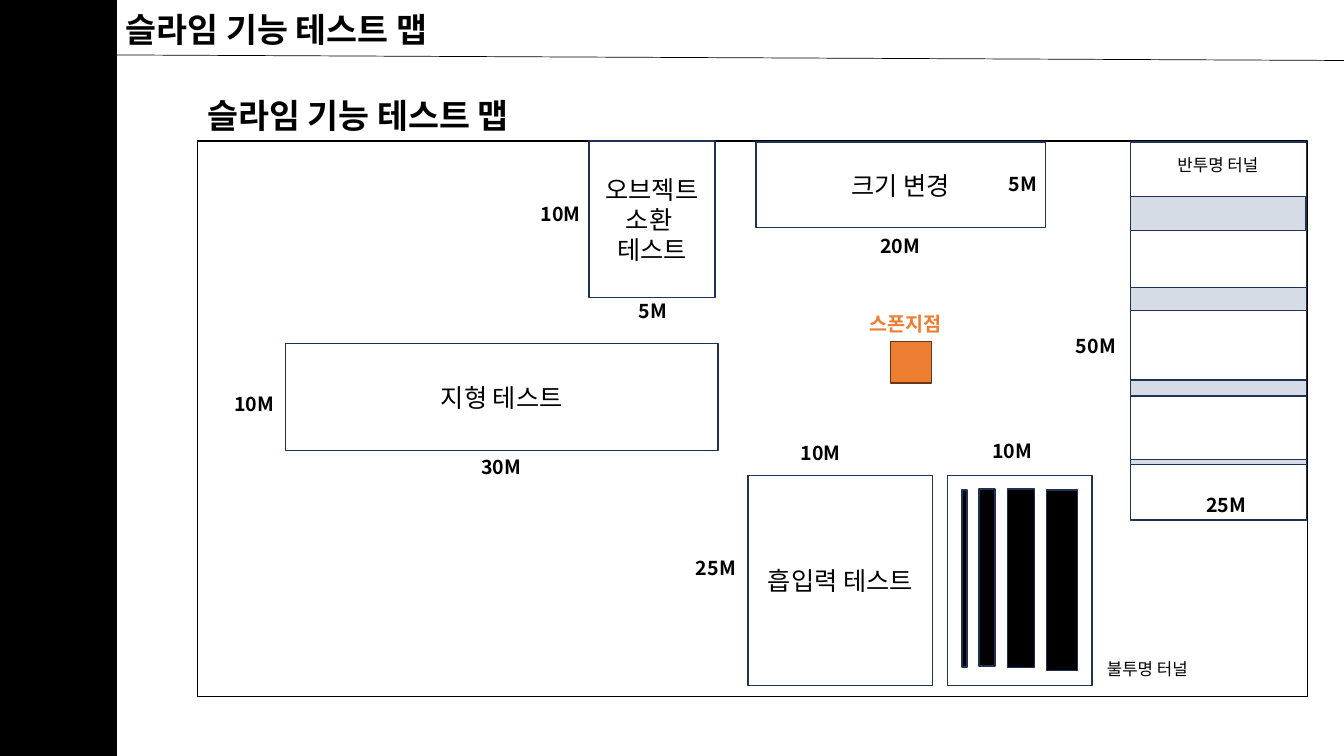
from lxml.etree import SubElement
from pptx import Presentation
from pptx.dml.color import RGBColor
from pptx.enum.shapes import MSO_CONNECTOR, MSO_SHAPE
from pptx.enum.text import MSO_ANCHOR, MSO_AUTO_SIZE, PP_ALIGN
from pptx.oxml.ns import qn
from pptx.util import Pt

PX = 9144  # 100 px to the inch
FONT = "Noto Sans CJK KR"
BLACK, NAVY, ORANGE, GREY = "000000", "1E3256", "ED7D31", "D6DCE5"
TITLE = {"size": Pt(24), "bold": True}
ROOM = {"size": Pt(18)}
SIZE = {"size": Pt(14), "bold": True}
NOTE = {"size": Pt(12)}

deck = Presentation()
deck.slide_width, deck.slide_height = 1333 * PX, 750 * PX
slide = deck.slides.add_slide(deck.slide_layouts[6])
shapes = slide.shapes
color = RGBColor.from_string


def box(area, line, fill=None):
    rect = shapes.add_shape(MSO_SHAPE.RECTANGLE, *[n * PX for n in area])
    rect.shadow.inherit = False
    rect.line.color.rgb = color(line)
    rect.line.width = Pt(1)
    if fill:
        rect.fill.solid()
        rect.fill.fore_color.rgb = color(fill)
    else:
        rect.fill.background()
    return rect


def write(frame, words, style, align=PP_ALIGN.CENTER, ink=BLACK):
    frame.text = words
    for para in frame.paragraphs:
        para.alignment = align
        for run in para.runs:
            for key, value in style.items():
                setattr(run.font, key, value)
            run.font.name = FONT
            run.font.color.rgb = color(ink)
            SubElement(run.font._element, qn("a:ea"), typeface=FONT)


# Header rule and side band
rule = shapes.add_connector(MSO_CONNECTOR.STRAIGHT, 0, 54 * PX, 1333 * PX, 60 * PX)
rule.line.color.rgb = color(BLACK)
rule.line.width = Pt(0.5)
SubElement(rule._element.spPr, qn("a:effectLst"))
box((0, 0, 115, 750), BLACK, BLACK)

# Map outline and spawn point
box((196, 140, 1101, 551), BLACK)
box((883, 339, 41, 41), "683715", ORANGE)

# Test rooms
for area, words in [
    ((750, 141, 287, 85), "크기 변경"),
    ((584, 140, 125, 155), "오브젝트\n소환 \n테스트"),
    ((742, 472, 183, 208), "흡입력 테스트"),
    ((283, 341, 429, 106), "지형 테스트"),
]:
    frame = box(area, NAVY).text_frame
    frame.vertical_anchor = MSO_ANCHOR.MIDDLE
    write(frame, words, ROOM)

# Translucent tunnel with its cross bars
box((1121, 141, 175, 375), NAVY)
for top, width, height in [(195, 174, 34), (285, 175, 23), (377, 175, 16), (456, 175, 5)]:
    box((1121, top, width, height), NAVY, GREY)

# Opaque tunnel with its upright bars
for left, top, width, height in [
    (1038, 486, 31, 179), (999, 485, 27, 177), (971, 485, 16, 176), (954, 486, 5, 176),
]:
    box((left, top, width, height), NAVY, BLACK)
box((940, 472, 143, 208), NAVY)

# Titles, room sizes and notes
LEFT, MID = PP_ALIGN.LEFT, PP_ALIGN.CENTER
for style, width, height, align, ink, labels in [
    (TITLE, 359, 50, LEFT, BLACK, [(115, 4, "슬라임 기능 테스트 맵"), (196, 89, "슬라임 기능 테스트 맵")]),
    (SIZE, 51, 34, MID, BLACK, [(989, 166, "5M"), (622, 292, "5M")]),
    (SIZE, 62, 34, MID, BLACK, [
        (862, 227, "20M"), (525, 195, "10M"), (973, 431, "10M"),
        (466, 446, "30M"), (221, 384, "10M"), (783, 433, "10M"),
        (679, 547, "25M"), (1185, 484, "25M"), (1056, 326, "50M"),
    ]),
    (NOTE, 110, 30, MID, BLACK, [(1153, 149, "반투명 터널"), (1083, 649, "불투명 터널")]),
    (SIZE, 99, 34, MID, ORANGE, [(849, 305, "스폰지점")]),
]:
    for left, top, words in labels:
        frame = shapes.add_textbox(left * PX, top * PX, width * PX, height * PX).text_frame
        frame.word_wrap = False
        frame.auto_size = MSO_AUTO_SIZE.SHAPE_TO_FIT_TEXT
        write(frame, words, style, align, ink)

deck.save("out.pptx")
